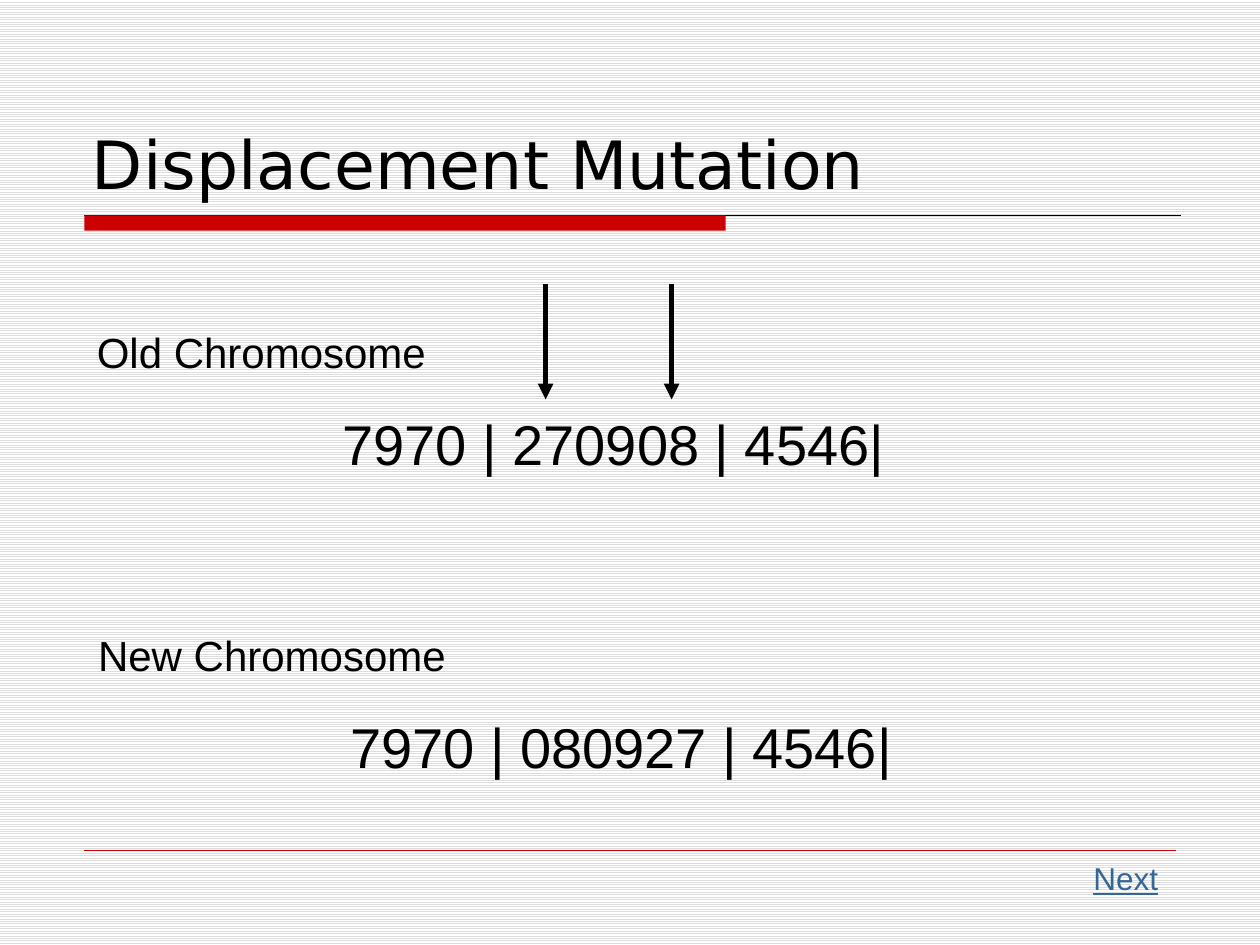
from lxml import etree
from pptx import Presentation
from pptx.dml.color import RGBColor
from pptx.enum.dml import MSO_PATTERN
from pptx.enum.shapes import MSO_CONNECTOR, MSO_SHAPE
from pptx.enum.text import MSO_ANCHOR, MSO_AUTO_SIZE, PP_ALIGN
from pptx.oxml.ns import qn
from pptx.util import Inches, Pt

STRIPES = MSO_PATTERN.LIGHT_HORIZONTAL
STRAIGHT = MSO_CONNECTOR.STRAIGHT
RECTANGLE = MSO_SHAPE.RECTANGLE
BOTTOM, TOP = MSO_ANCHOR.BOTTOM, MSO_ANCHOR.TOP
NO_FIT = MSO_AUTO_SIZE.NONE
LEFT = PP_ALIGN.LEFT

BLACK, RED, LINK_BLUE = "000000", "CC0000", "336699"
MARGIN = 0.67
RULE_TOP = 1.71
FOOT_TOP = 6.75

TITLE = {"name": "DejaVu Sans", "size": Pt(38)}
LABEL = {"name": "Arial", "size": Pt(24)}
GENES = {"name": "Arial", "size": Pt(32)}
NEXT = {"name": "Arial", "size": Pt(18), "underline": True}

CHROMOSOMES = [
    # label, genes, left, top, indent of the genes
    ("Old Chromosome", "7970 | 270908 | 4546|", 0.67, 2.54, 1.95),
    ("New Chromosome", "7970 | 080927 | 4546|", 0.68, 4.95, 2.0),
]
CUT_POINTS = (4.33, 5.33)


def rgb(value):
    return RGBColor.from_string(value)


def format_text(paragraph, style, color=BLACK):
    paragraph.alignment = LEFT
    for attribute, value in style.items():
        setattr(paragraph.font, attribute, value)
    paragraph.font.color.rgb = rgb(color)


def set_background(slide):
    fill = slide.background.fill
    fill.patterned()
    fill.pattern = STRIPES
    fill.fore_color.rgb = rgb("DDDDDD")
    fill.back_color.rgb = rgb("FFFFFF")


def set_title(slide, text):
    title = slide.shapes.title
    title.left, title.top = Inches(0.63), Inches(0.33)
    title.width, title.height = Inches(8.75), Inches(1.33)
    frame = title.text_frame
    frame.text = text
    frame.auto_size = NO_FIT
    frame.vertical_anchor = BOTTOM
    format_text(frame.paragraphs[0], TITLE)


def add_line(slide, start, end, color, width, arrow=False):
    line = slide.shapes.add_connector(STRAIGHT, *map(Inches, start + end))
    line.line.color.rgb = rgb(color)
    line.line.width = Pt(width)
    if arrow:
        etree.SubElement(line.line._get_or_add_ln(), qn("a:tailEnd"), type="triangle")
    etree.SubElement(line._element.spPr, qn("a:effectLst"))


def add_bar(slide, left, top, width, height):
    bar = slide.shapes.add_shape(RECTANGLE, *map(Inches, (left, top, width, height)))
    bar.shadow.inherit = False
    bar.fill.solid()
    bar.fill.fore_color.rgb = rgb(RED)
    bar.line.fill.background()


def add_text(slide, text, style, left, top, width, height, color=BLACK):
    box = slide.shapes.add_textbox(*map(Inches, (left, top, width, height)))
    frame = box.text_frame
    frame.word_wrap = True
    frame.vertical_anchor = TOP
    frame.text = text
    format_text(frame.paragraphs[0], style, color)
    return frame


def add_chromosome(slide, label, genes, left, top, indent):
    frame = add_text(slide, label, LABEL, left, top, 9, 1.3)
    row = frame.add_paragraph()
    row.text = genes
    properties = row._p.get_or_add_pPr()
    properties.set("marL", str(Inches(indent)))
    properties.set("indent", "0")
    row.space_before = Pt(18.5)
    format_text(row, GENES)


def main():
    presentation = Presentation()
    presentation.slide_width, presentation.slide_height = Inches(10), Inches(7.5)
    slide = presentation.slides.add_slide(presentation.slide_layouts[5])

    set_background(slide)
    add_line(slide, (MARGIN, RULE_TOP), (9.37, RULE_TOP), BLACK, 0.75)
    add_bar(slide, MARGIN, RULE_TOP, 5.09, 0.12)
    add_line(slide, (MARGIN, FOOT_TOP), (9.33, FOOT_TOP), RED, 0.25)
    set_title(slide, "Displacement Mutation")
    add_text(slide, "Next", NEXT, 8.58, 6.77, 0.75, 0.4, LINK_BLUE)
    for chromosome in CHROMOSOMES:
        add_chromosome(slide, *chromosome)
    for x in CUT_POINTS:
        add_line(slide, (x, 2.25), (x, 3.17), BLACK, 3, arrow=True)

    presentation.save("out.pptx")


if __name__ == "__main__":
    main()
